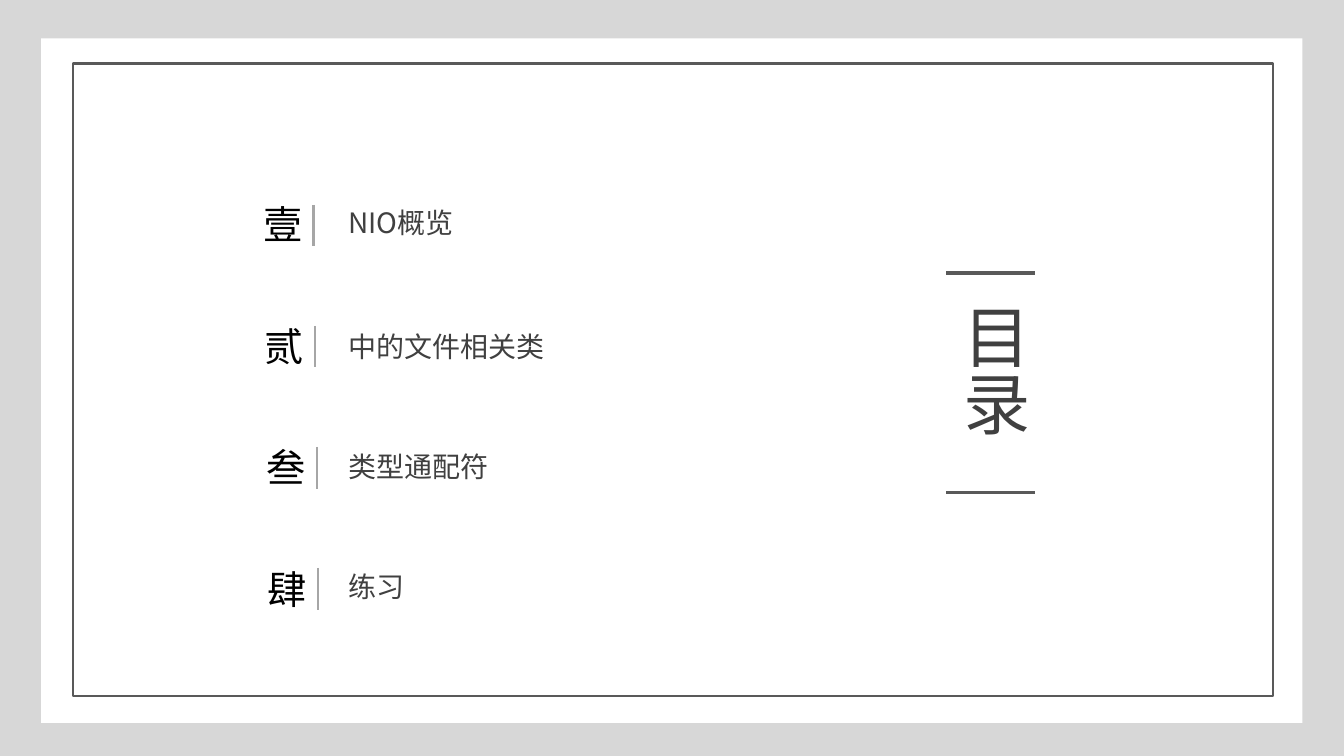
import pptx
import pptx.util
import pptx.dml.color
import pptx.enum.shapes
import pptx.enum.text
import pptx.oxml.ns
from lxml import etree

Cm, Pt = pptx.util.Cm, pptx.util.Pt

# Content: number, entry, top of the entry in cm
TITLE = "目录"
ENTRIES = [
    ("壹", "NIO概览", 5.05),
    ("贰", "中的文件相关类", 8.18),
    ("叁", "类型通配符", 11.2),
    ("肆", "练习", 14.22),
]

THEME = {
    "font": "Noto Sans CJK SC",
    "backdrop": "D7D7D7", "panel": "FFFFFF", "frame": "595959",
    "divider": "A6A6A6", "text": "404040", "number": "000000",
    "title_size": 48, "number_size": 28, "entry_size": 20,
    "thin": 1.5, "thick": 2.25,
}

# Layout in cm
WIDTH, HEIGHT = 33.87, 19.05
NUMBER_LEFT, NUMBER_TOP, NUMBER_STEP = 6.38, 4.93, 3.06
DIVIDER_LEFT, DIVIDER_TOP, DIVIDER_STEP = 7.9, 5.16, 3.05
DIVIDER_HEIGHT = 1.05
DRIFT = 0.04  # each row starts slightly further right
ENTRY_LEFT = 8.53


def color(name):
    return pptx.dml.color.RGBColor.from_string(THEME[name])


def add_box(left, top, width, height, fill=None, line=None):
    kind = pptx.enum.shapes.MSO_SHAPE.RECTANGLE
    sp = s.shapes.add_shape(kind, Cm(left), Cm(top), Cm(width), Cm(height))
    sp.shadow.inherit = False
    if fill:
        sp.fill.solid()
        sp.fill.fore_color.rgb = color(fill)
    else:
        sp.fill.background()
    if line:
        sp.line.color.rgb = color(line)
        sp.line.width = Pt(THEME["thin"])
    else:
        sp.line.fill.background()


def add_line(x1, y1, x2, y2, line, weight):
    kind = pptx.enum.shapes.MSO_CONNECTOR.STRAIGHT
    sp = s.shapes.add_connector(kind, Cm(x1), Cm(y1), Cm(x2), Cm(y2))
    sp.line.color.rgb = color(line)
    sp.line.width = Pt(THEME[weight])
    etree.SubElement(sp._element.spPr, pptx.oxml.ns.qn("a:effectLst"))


def add_text(text, left, top, width, height, size, ink):
    sp = s.shapes.add_textbox(Cm(left), Cm(top), Cm(width), Cm(height))
    tf = sp.text_frame
    tf.word_wrap = True
    tf.auto_size = pptx.enum.text.MSO_AUTO_SIZE.SHAPE_TO_FIT_TEXT
    r = tf.paragraphs[0].add_run()
    r.text = text
    r.font.size = Pt(THEME[size])
    r.font.name = THEME["font"]
    r.font.color.rgb = color(ink)
    ea = etree.SubElement(r.font._element, pptx.oxml.ns.qn("a:ea"))
    ea.set("typeface", THEME["font"])
    return tf


prs = pptx.Presentation()
prs.slide_width, prs.slide_height = Cm(WIDTH), Cm(HEIGHT)
s = prs.slides.add_slide(prs.slide_layouts[6])

# Backdrop, panel and frame
add_box(0, 0, WIDTH, HEIGHT, fill="backdrop")
add_box(1.04, 0.97, 31.78, 17.25, fill="panel")
add_box(1.83, 1.6, 30.25, 15.95, line="frame")

# Numbered entries
for i, (number, entry, entry_top) in enumerate(ENTRIES):
    add_text(number, NUMBER_LEFT + i * DRIFT, NUMBER_TOP + i * NUMBER_STEP,
             1.35, 1.45, "number_size", "number")
    x, y = DIVIDER_LEFT + i * DRIFT, DIVIDER_TOP + i * DIVIDER_STEP
    add_line(x, y, x, y + DIVIDER_HEIGHT, "divider", "thin")
    add_text(entry, ENTRY_LEFT, entry_top, 7.87, 1.12, "entry_size", "text")

# Vertical title between two rules
tf = add_text(TITLE, 23.65, 7.39, 2.57, 4.55, "title_size", "text")
tf._txBody.bodyPr.set("vert", "eaVert")
tf.paragraphs[0].alignment = pptx.enum.text.PP_ALIGN.JUSTIFY
for y in (6.88, 12.4):
    add_line(23.85, y, 26.09, y, "frame", "thick")

prs.save("out.pptx")
